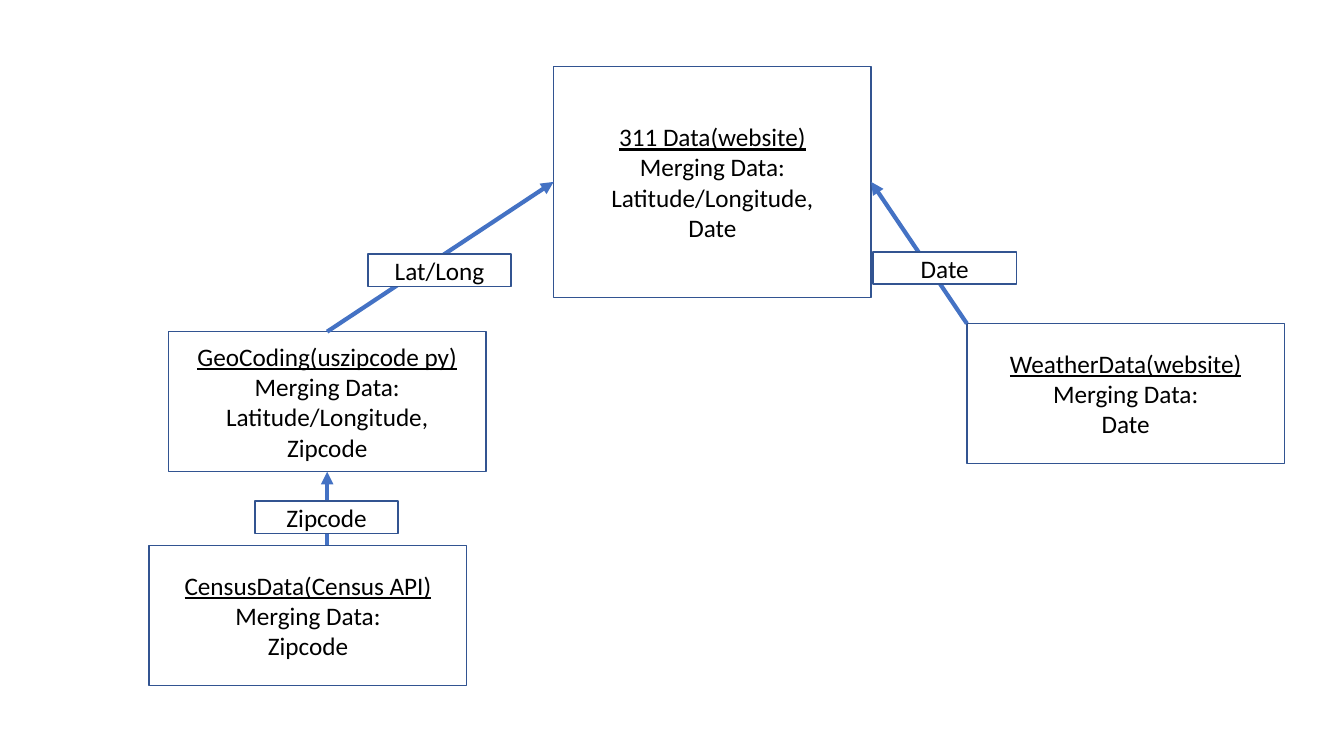
import pptx
import pptx.dml.color
import pptx.enum.shapes
import pptx.enum.text
import pptx.oxml
import pptx.oxml.ns
import pptx.util

SLIDE_WIDTH = pptx.util.Inches(13.33)
SLIDE_HEIGHT = pptx.util.Inches(7.5)
SOURCE_WIDTH, SOURCE_HEIGHT = 23.63, 18.53
KEY_WIDTH, KEY_HEIGHT = 10.65, 4.27


def across(percent):
    """Turn a percentage of the slide width into a length."""
    return round(SLIDE_WIDTH * percent / 100)


def down(percent):
    """Turn a percentage of the slide height into a length."""
    return round(SLIDE_HEIGHT * percent / 100)


def color(hex_code):
    """Return the colour for a hex string."""
    return pptx.dml.color.RGBColor.from_string(hex_code)


def write(paragraph, text, size=18, font="Calibri", ink="000000", underline=False):
    """Write centred, formatted text into a paragraph."""
    paragraph.alignment = pptx.enum.text.PP_ALIGN.CENTER
    run = paragraph.add_run()
    run.text = text
    run.font.size = pptx.util.Pt(size)
    run.font.name = font
    run.font.color.rgb = color(ink)
    run.font.underline = underline


def add_box(slide, left, top, width, height, lines, titled=False):
    """Add an outlined box, underlining its first line if titled."""
    box = slide.shapes.add_shape(
        pptx.enum.shapes.MSO_SHAPE.RECTANGLE,
        across(left), down(top), across(width), down(height))
    box.shadow.inherit = False
    box.fill.solid()
    box.fill.fore_color.rgb = color("FFFFFF")
    box.line.color.rgb = color("325491")
    box.line.width = pptx.util.Pt(1)
    frame = box.text_frame
    frame.vertical_anchor = pptx.enum.text.MSO_ANCHOR.MIDDLE
    for index, line in enumerate(lines):
        paragraph = frame.add_paragraph() if index else frame.paragraphs[0]
        write(paragraph, line, underline=titled and index == 0)
    return box


def add_source(slide, left, top, title, *merge_keys, height=SOURCE_HEIGHT):
    """Add a data source with the keys it is merged on."""
    lines = [title, "Merging Data:", *merge_keys]
    return add_box(slide, left, top, SOURCE_WIDTH, height, lines, titled=True)


def add_arrow(slide, start, end):
    """Add a blue arrow between two points."""
    arrow = slide.shapes.add_connector(
        pptx.enum.shapes.MSO_CONNECTOR.STRAIGHT, *start, *end)
    arrow.line.color.rgb = color("4472C4")
    arrow.line.width = pptx.util.Pt(3)
    head = pptx.oxml.parse_xml(
        f'<a:tailEnd {pptx.oxml.ns.nsdecls("a")} type="triangle"/>')
    arrow.line._get_or_add_ln().append(head)
    arrow._element.spPr.append(
        pptx.oxml.parse_xml(f'<a:effectLst {pptx.oxml.ns.nsdecls("a")}/>'))


def main():
    """Build the data merging diagram."""
    deck = pptx.Presentation()
    deck.slide_width, deck.slide_height = SLIDE_WIDTH, SLIDE_HEIGHT
    slide = deck.slides.add_slide(deck.slide_layouts[6])

    requests = add_source(slide, 41.19, 8.8, "311 Data(website)",
                          "Latitude/Longitude,", "Date", height=30.53)
    geocoding = add_source(slide, 12.53, 43.87, "GeoCoding(uszipcode py)",
                           "Latitude/Longitude,", "Zipcode")
    census = add_source(slide, 11.1, 72.13, "CensusData(Census API)", "Zipcode")
    weather = add_source(slide, 71.94, 42.8, "WeatherData(website)", "Date")

    requests_middle = requests.top + requests.height // 2
    geocoding_center = geocoding.left + geocoding.width // 2
    add_arrow(slide, (geocoding_center, geocoding.top),
              (requests.left, requests_middle))
    add_arrow(slide, (geocoding_center, census.top),
              (geocoding_center, geocoding.top + geocoding.height))
    add_arrow(slide, (weather.left, weather.top),
              (requests.left + requests.width, requests_middle))

    for left, top, key in ((18.98, 66.27, "Zipcode"),
                           (27.38, 33.6, "Lat/Long"),
                           (64.97, 33.33, "Date")):
        add_box(slide, left, top, KEY_WIDTH, KEY_HEIGHT, [key])

    deck.save("out.pptx")


main()
